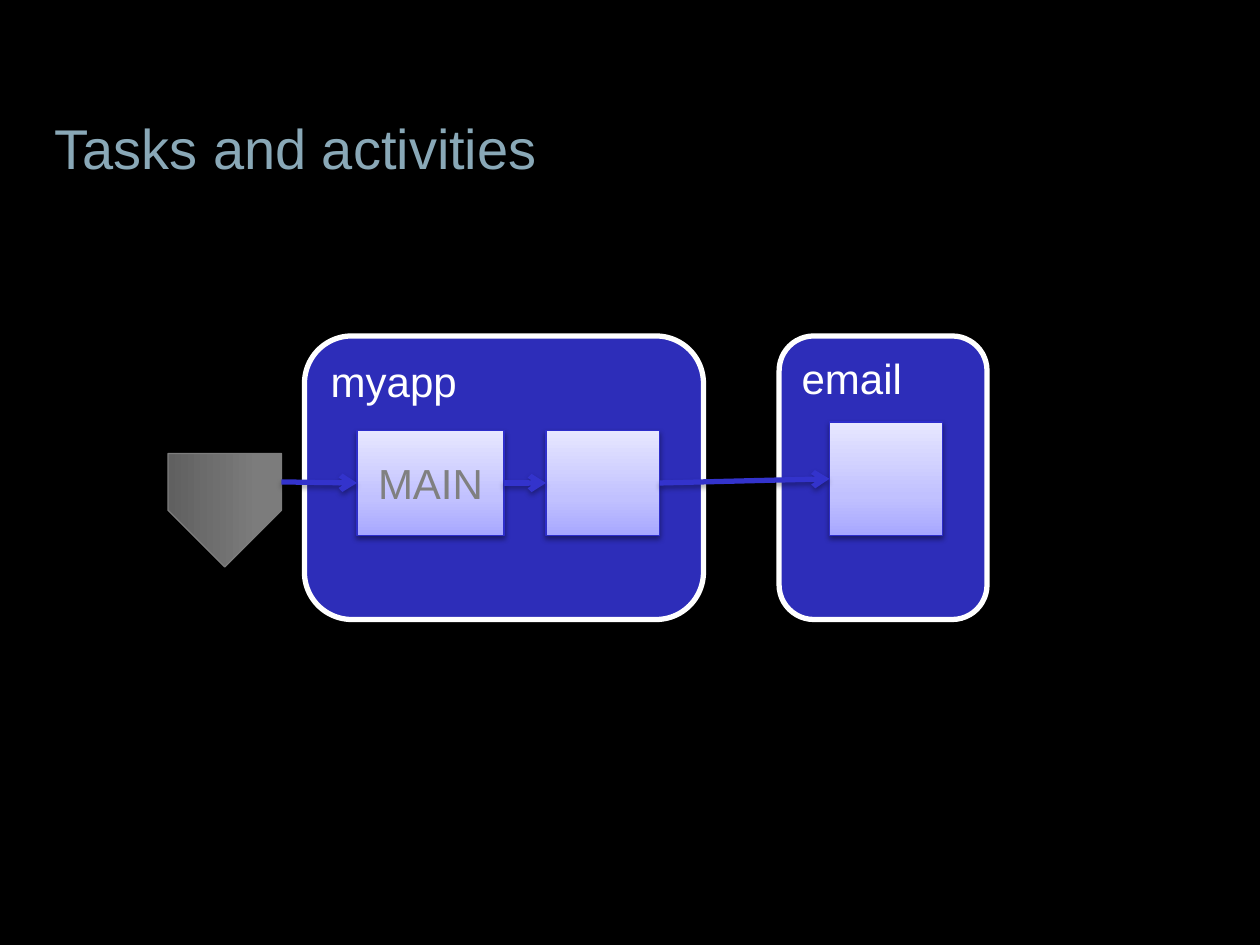
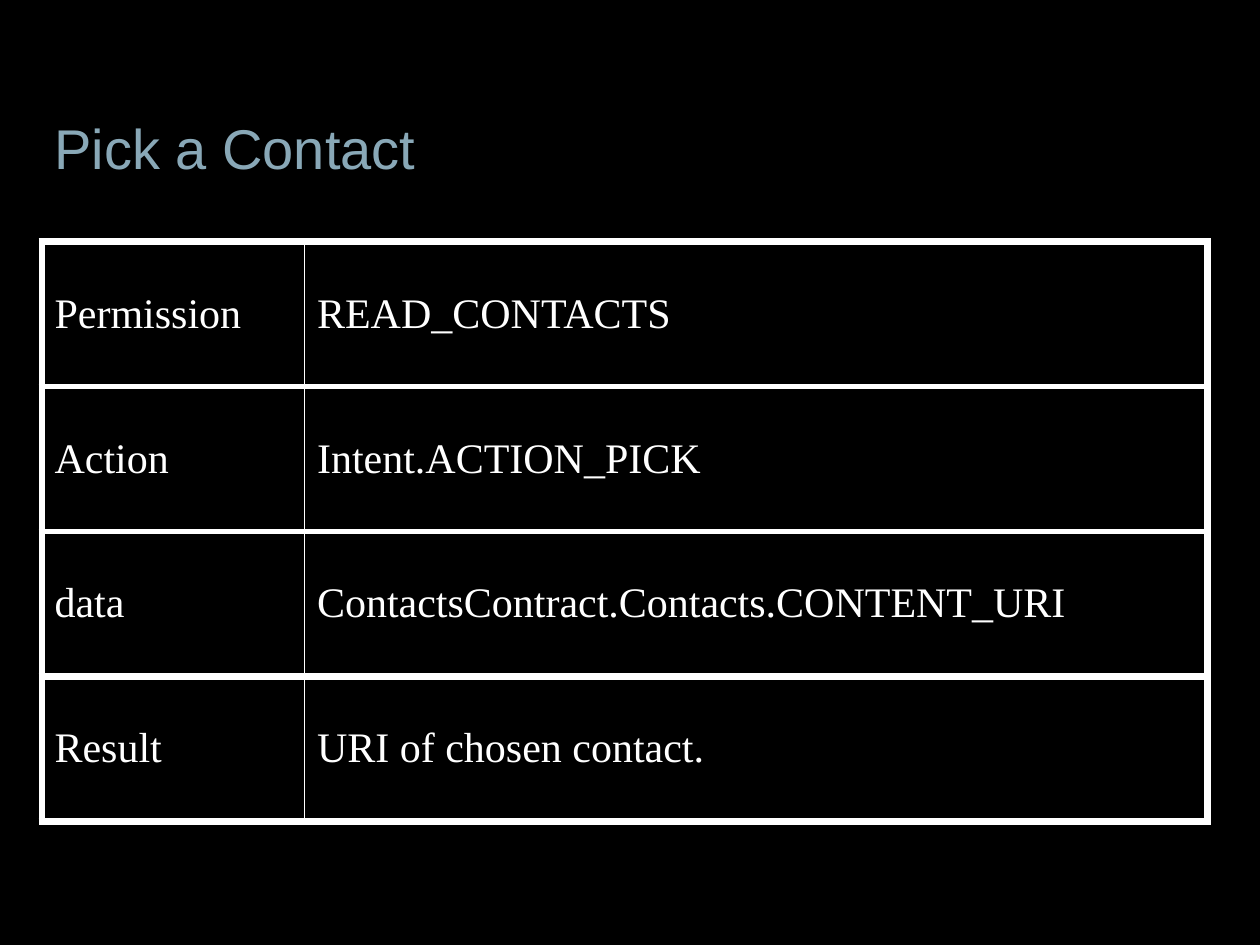
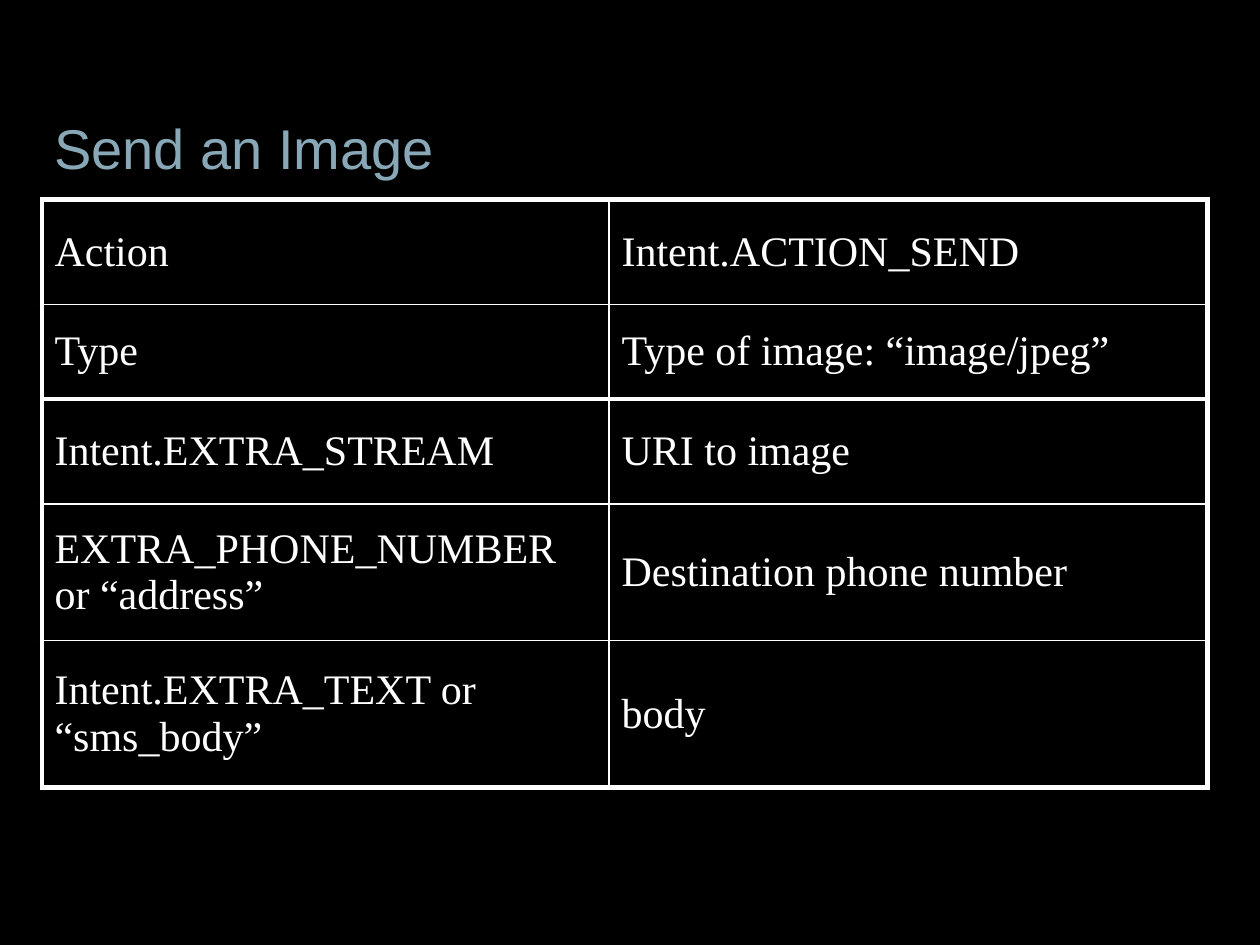
"""Build three slides on app tasks and the intents that reach other apps."""
from dataclasses import dataclass

from lxml.etree import SubElement
from pptx import Presentation
from pptx.dml.color import RGBColor
from pptx.enum.shapes import MSO_CONNECTOR as Link, MSO_SHAPE as Preset
from pptx.enum.text import MSO_ANCHOR as Anchor, PP_ALIGN as Align
from pptx.oxml.ns import qn
from pptx.util import Pt

PX = 7620
SLIDE_WIDTH, SLIDE_HEIGHT = 1200, 900

BLACK = RGBColor(0x00, 0x00, 0x00)
WHITE = RGBColor(0xFF, 0xFF, 0xFF)
TITLE_BLUE = RGBColor(0x89, 0xA8, 0xB7)
TASK_BLUE = RGBColor(0x2D, 0x2D, 0xB9)
ACTIVITY_EDGE = RGBColor(0x2E, 0x2E, 0xCB)
ARROW_BLUE = RGBColor(0x33, 0x33, 0xCC)
LABEL_GREY = RGBColor(0x80, 0x80, 0x80)
HOME_EDGE = RGBColor(0x7D, 0x7D, 0x7D)
ACTIVITY_FADE = ((0, RGBColor(0xA7, 0xA7, 0xFF)), (35, RGBColor(0xC1, 0xC1, 0xFF)),
                 (100, RGBColor(0xE7, 0xE7, 0xFF)))
HOME_FADE = ((0, RGBColor(0x60, 0x60, 0x60)), (80, RGBColor(0x7C, 0x7C, 0x7C)),
             (100, HOME_EDGE))

SANS, SERIF = "Arial", "Times New Roman"


@dataclass(frozen=True)
class Shadow:
    distance: float
    opacity: int


SOFT = Shadow(1.6, 38)
DEEP = Shadow(1.8, 35)


@dataclass(frozen=True)
class Look:
    preset: Preset
    fill: RGBColor | tuple
    edge: RGBColor
    edge_width: float
    shadow: Shadow
    ink: RGBColor = WHITE
    align: Align = Align.LEFT
    anchor: Anchor = Anchor.TOP
    turn: int = 0


TASK = Look(Preset.ROUNDED_RECTANGLE, TASK_BLUE, WHITE, 3, SOFT)
ACTIVITY = Look(Preset.RECTANGLE, ACTIVITY_FADE, ACTIVITY_EDGE, 0.75, SOFT,
                LABEL_GREY, Align.CENTER, Anchor.MIDDLE)
HOME = Look(Preset.PENTAGON, HOME_FADE, HOME_EDGE, 0.75, DEEP, turn=90)


@dataclass(frozen=True)
class Block:
    look: Look
    left: int
    top: int
    width: int
    height: int
    label: str = ""


@dataclass(frozen=True)
class Arrow:
    start: tuple[int, int]
    end: tuple[int, int]


@dataclass(frozen=True)
class IntentTable:
    title: str
    top: int
    columns: tuple[int, int]
    heights: tuple[int, ...]
    frame: float
    rules: tuple[float, ...]
    rows: tuple[tuple[str, str], ...]


FLOW = (
    Block(TASK, 290, 320, 380, 270, "myapp"),
    Block(ACTIVITY, 340, 410, 140, 100, "MAIN"),
    Block(ACTIVITY, 520, 410, 108, 100),
    Block(TASK, 742, 320, 198, 270, "email"),
    Block(ACTIVITY, 790, 402, 108, 108),
    Arrow((480, 460), (520, 460)),
    Arrow((628, 460), (790, 456)),
    Block(HOME, 160, 432, 108, 108),
    Arrow((268, 459), (340, 460)),
)

TABLES = (
    IntentTable("Pick a Contact", 230, (250, 860), (138,) * 4, 4.5, (3, 3, 4.5), (
        ("Permission", "READ_CONTACTS"),
        ("Action", "Intent.ACTION_PICK"),
        ("data", "ContactsContract.Contacts.CONTENT_URI"),
        ("Result", "URI of chosen contact."),
    )),
    IntentTable("Send an Image", 190, (540, 570), (100, 90, 100, 130, 140), 3, (1, 3, 1, 1), (
        ("Action", "Intent.ACTION_SEND"),
        ("Type", "Type of image: “image/jpeg”"),
        ("Intent.EXTRA_STREAM", "URI to image"),
        ("EXTRA_PHONE_NUMBER or “address”", "Destination phone number"),
        ("Intent.EXTRA_TEXT or “sms_body”", "body"),
    )),
)


def px(*lengths: int) -> list[int]:
    """Turn px lengths into EMU."""
    return [length * PX for length in lengths]


def write(frame, text: str, size: int, face: str, ink: RGBColor,
          align: Align = Align.LEFT) -> None:
    """Put one styled paragraph into a text frame."""
    frame.word_wrap = True
    line = frame.paragraphs[0]
    line.text = text
    line.alignment = align
    line.font.size, line.font.name = Pt(size), face
    line.font.color.rgb = ink


def add_colour(parent, colour: RGBColor):
    """Append a colour element to an XML parent."""
    return SubElement(parent, qn("a:srgbClr"), val=str(colour))


def cast_shadow(properties, shadow: Shadow) -> None:
    """Append a downward shadow after the outline."""
    effects = SubElement(properties, qn("a:effectLst"))
    outer = SubElement(effects, qn("a:outerShdw"), blurRad=str(Pt(3.1)),
                       dist=str(Pt(shadow.distance)), dir="5400000", rotWithShape="0")
    SubElement(add_colour(outer, BLACK), qn("a:alpha"), val=str(shadow.opacity * 1000))


def fade(shape, stops: tuple) -> None:
    """Fill a shape with a gradient rising from its bottom edge."""
    shape.fill.gradient()
    shape.fill.gradient_angle = 90
    stop_list = shape.element.spPr.find(".//" + qn("a:gsLst"))
    stop_list.clear()
    for place, colour in stops:
        add_colour(SubElement(stop_list, qn("a:gs"), pos=str(place * 1000)), colour)


def draw_block(slide, block: Block) -> None:
    """Draw a task, an activity or the home marker."""
    look = block.look
    shape = slide.shapes.add_shape(
        look.preset, *px(block.left, block.top, block.width, block.height))
    shape.rotation = look.turn
    if isinstance(look.fill, RGBColor):
        shape.fill.solid()
        shape.fill.fore_color.rgb = look.fill
    else:
        fade(shape, look.fill)
    shape.line.color.rgb, shape.line.width = look.edge, Pt(look.edge_width)
    cast_shadow(shape.element.spPr, look.shadow)
    if block.label:
        shape.text_frame.vertical_anchor = look.anchor
        write(shape.text_frame, block.label, 24, SANS, look.ink, look.align)


def draw_arrow(slide, arrow: Arrow) -> None:
    """Draw an arrow from one activity to the next."""
    link = slide.shapes.add_connector(Link.STRAIGHT, *px(*arrow.start, *arrow.end))
    link.line.color.rgb, link.line.width = ARROW_BLUE, Pt(3)
    properties = link.element.spPr
    SubElement(properties.find(qn("a:ln")), qn("a:tailEnd"), type="arrow")
    cast_shadow(properties, DEEP)


def style_cell(cell, text: str, borders: dict[str, float]) -> None:
    """Write a table cell and rule its four sides."""
    properties = cell._tc.get_or_add_tcPr()
    for side, width in borders.items():
        rule = SubElement(properties, qn(f"a:ln{side}"), w=str(Pt(width)))
        add_colour(SubElement(rule, qn("a:solidFill")), WHITE)
    cell.fill.background()
    cell.vertical_anchor = Anchor.MIDDLE
    write(cell.text_frame, text, 24, SERIF, WHITE)


def draw_table(slide, content: IntentTable) -> None:
    """Draw a framed table of intent settings."""
    table = slide.shapes.add_table(
        len(content.rows), len(content.columns),
        *px(40, content.top, sum(content.columns), sum(content.heights))).table
    table.first_row = table.horz_banding = False
    for column, width in zip(table.columns, px(*content.columns)):
        column.width = width
    for row, height in zip(table.rows, px(*content.heights)):
        row.height = height
    across = (content.frame, *content.rules, content.frame)
    down = (content.frame, 1, content.frame)
    for r, texts in enumerate(content.rows):
        for c, text in enumerate(texts):
            style_cell(table.cell(r, c), text, {
                "L": down[c], "R": down[c + 1], "T": across[r], "B": across[r + 1]})


def add_slide(deck, title: str):
    """Add a black slide with its title."""
    slide = deck.slides.add_slide(deck.slide_layouts[6])
    slide.background.fill.solid()
    slide.background.fill.fore_color.rgb = BLACK
    heading = slide.shapes.add_textbox(*px(40, 110, 1020, 60)).text_frame
    heading.vertical_anchor = Anchor.MIDDLE
    write(heading, title, 32, SANS, TITLE_BLUE)
    return slide


def main() -> None:
    """Build and save the deck."""
    deck = Presentation()
    deck.slide_width, deck.slide_height = px(SLIDE_WIDTH, SLIDE_HEIGHT)
    tasks = add_slide(deck, "Tasks and activities")
    for part in FLOW:
        if isinstance(part, Block):
            draw_block(tasks, part)
        else:
            draw_arrow(tasks, part)
    for content in TABLES:
        draw_table(add_slide(deck, content.title), content)
    deck.save("out.pptx")


if __name__ == "__main__":
    main()
